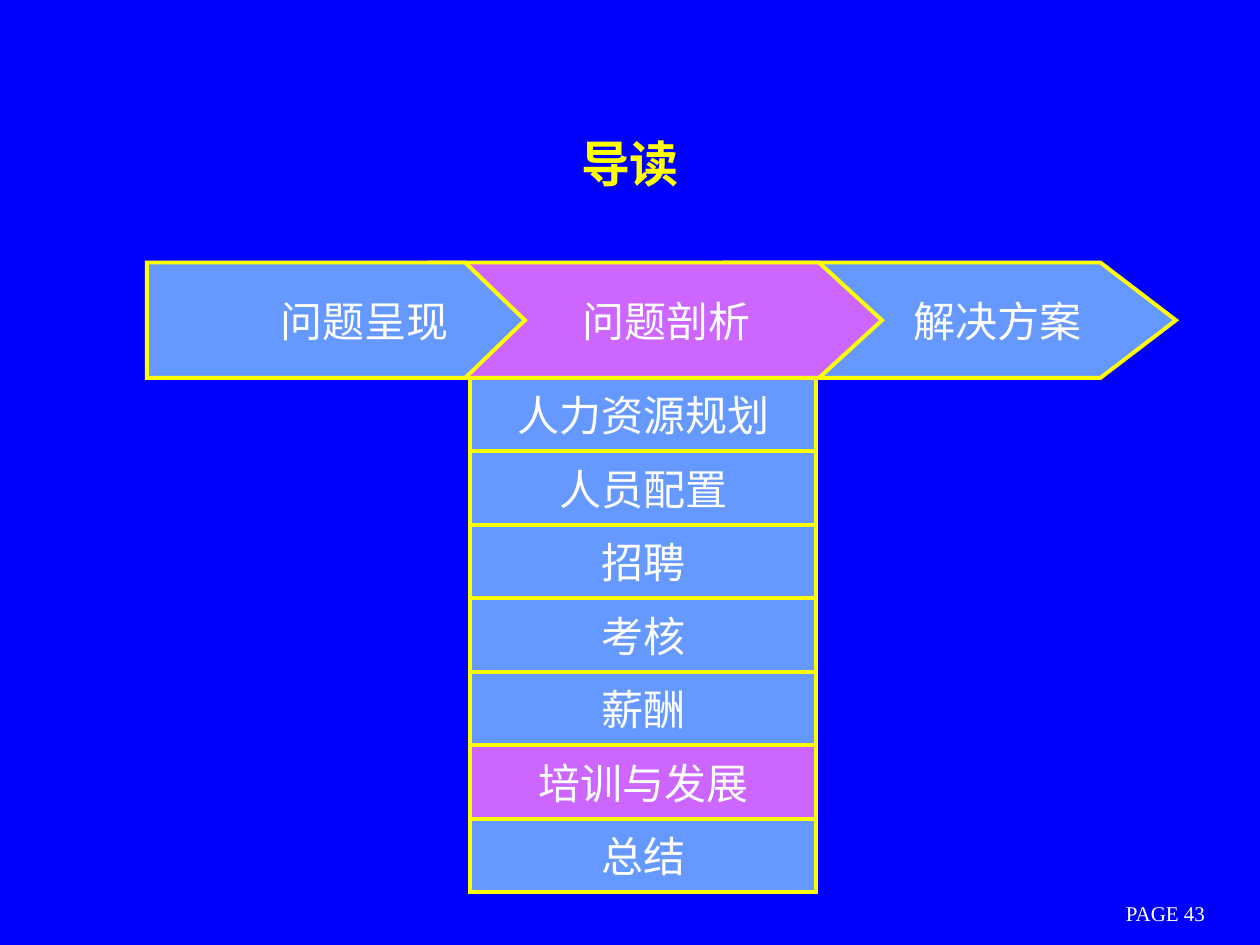
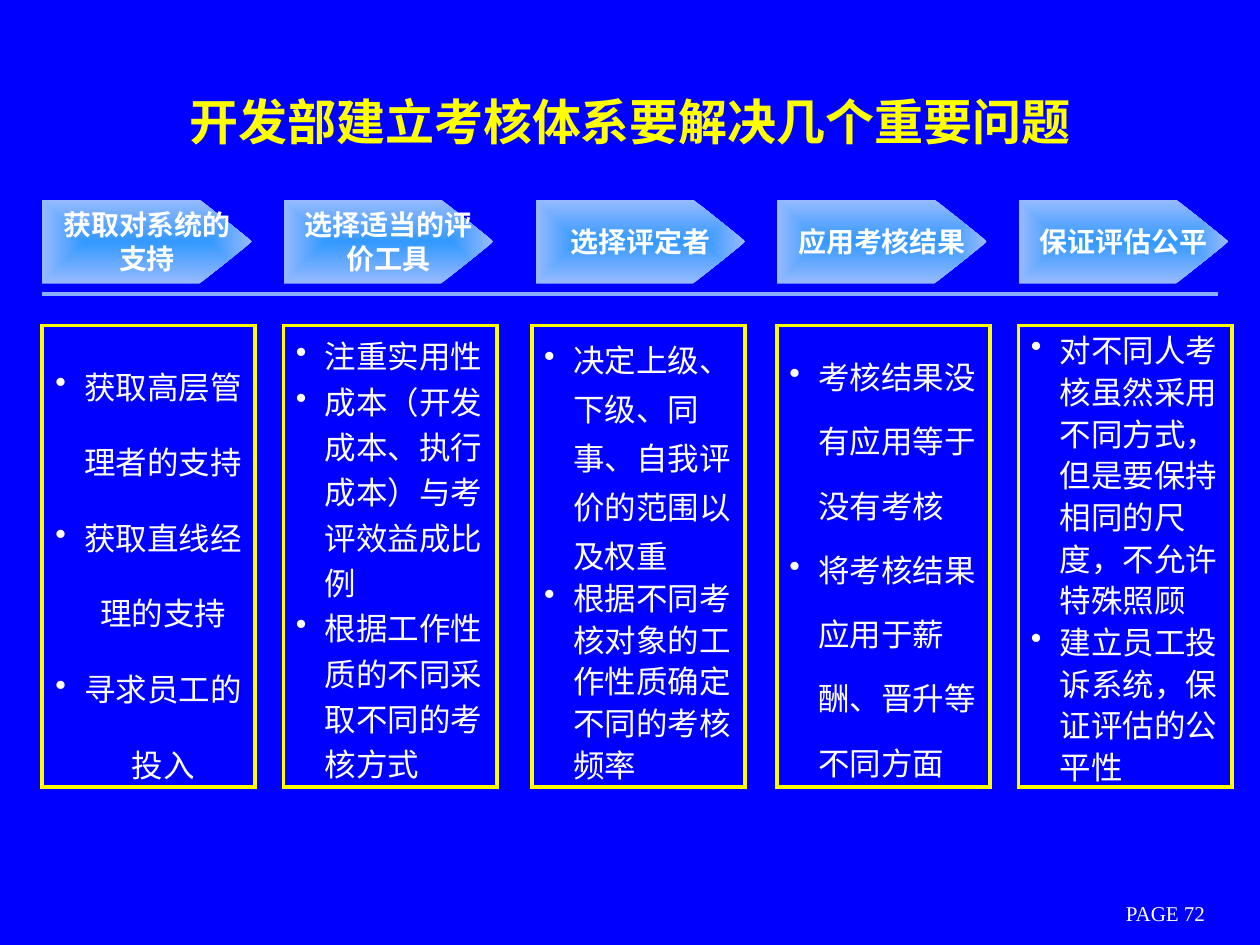
from lxml import etree
from pptx import Presentation
from pptx.dml.color import RGBColor
from pptx.enum.shapes import MSO_CONNECTOR, MSO_SHAPE
from pptx.enum.text import MSO_ANCHOR, PP_ALIGN
from pptx.oxml.ns import qn
from pptx.util import Inches, Pt

CENTER, LEFT = PP_ALIGN.CENTER, PP_ALIGN.LEFT
MIDDLE = MSO_ANCHOR.MIDDLE
RECTANGLE = MSO_SHAPE.RECTANGLE
STRAIGHT = MSO_CONNECTOR.STRAIGHT

COLUMNS, ROWS = 120, 90  # grid cells across and down the slide
SLIDE_WIDTH, SLIDE_HEIGHT = Inches(10), Inches(7.5)

BACKGROUND, WHITE, YELLOW = "0000FF", "FFFFFF", "FFFF00"
BLUE, PURPLE = "6699FF", "CC66FF"
GLOW_CENTER, GLOW_EDGE, RULE = "3399FF", "97BAFF", "87AFFF"
LATIN, CHINESE = "Times New Roman", "Noto Sans CJK SC"
OUTLINE = 2.25
LINE_HEIGHT = 1.2  # single line pitch as a share of the text size
BULLET_INDENT = 0.23

# label, left column, shoulder column, tip column, label centre column, fill
STAGES = [
    ("解决方案", 69, 104.8, 112, 95, BLUE),
    ("问题剖析", 41, 78, 84, 63.5, PURPLE),
    ("问题呈现", 14, 44.3, 50, 34.7, BLUE),
]
TOPICS = ["人力资源规划", "人员配置", "招聘", "考核", "薪酬", "培训与发展", "总结"]
CURRENT_TOPIC = "培训与发展"

# heading, heading column, panel column, alignment, (text, line spacing) items
ISSUES = [
    ("获取对系统的支持", 4, 4, CENTER,
     [("获取高层管理者的支持", 2), ("获取直线经理的支持", 2), ("寻求员工的投入", 2)]),
    ("选择适当的评价工具", 27, 27, LEFT,
     [("注重实用性", 1.2),
      ("成本（开发成本、执行成本）与考评效益成比例", 1.2),
      ("根据工作性质的不同采取不同的考核方式", 1.2)]),
    ("选择评定者", 51, 50.65, LEFT,
     [("决定上级、下级、同事、自我评价的范围以及权重", 1.3),
      ("根据不同考核对象的工作性质确定不同的考核频率", 1.1)]),
    ("应用考核结果", 74, 74, LEFT,
     [("考核结果没有应用等于没有考核", 1.7),
      ("将考核结果应用于薪酬、晋升等不同方面", 1.7)]),
    ("保证评估公平", 97, 97, LEFT,
     [("对不同人考核虽然采用不同方式，但是要保持相同的尺度，不允许特殊照顾", 1.1),
      ("建立员工投诉系统，保证评估的公平性", 1.1)]),
]


def color(hex_code):
    return RGBColor.from_string(hex_code)


def across(columns):
    return int(SLIDE_WIDTH * columns / COLUMNS)


def down(rows):
    return int(SLIDE_HEIGHT * rows / ROWS)


def grid_box(left, top, width, height):
    return across(left), down(top), across(width), down(height)


def set_font(paragraph, size, ink=WHITE, bold=False, latin=LATIN):
    font = paragraph.font
    font.size, font.bold, font.name = Pt(size), bold, latin
    font.color.rgb = color(ink)
    for run in paragraph.runs:
        east_asian = etree.SubElement(run._r.get_or_add_rPr(), qn("a:ea"))
        east_asian.set("typeface", CHINESE)


def write(frame, text, size, align=CENTER, **style):
    frame.word_wrap = True
    frame.vertical_anchor = MIDDLE
    paragraph = frame.paragraphs[0]
    paragraph.text = text
    paragraph.alignment = align
    set_font(paragraph, size, **style)
    return paragraph


def paint(shape, fill=None, outline=YELLOW):
    shape.shadow.inherit = False
    if fill:
        shape.fill.solid()
        shape.fill.fore_color.rgb = color(fill)
    else:
        shape.fill.background()
    if outline:
        shape.line.color.rgb = color(outline)
        shape.line.width = Pt(OUTLINE)
        border = shape.element.spPr.find(qn("a:ln"))
        etree.SubElement(border, qn("a:miter"), lim="800000")
    else:
        shape.line.fill.background()


def paint_glow(shape):
    """Fill with a gradient that spreads from the middle to all edges."""
    paint(shape, outline=None)
    shape.fill.gradient()
    for stop, hex_code in zip(shape.fill.gradient_stops, (GLOW_CENTER, GLOW_EDGE)):
        stop.color.rgb = color(hex_code)
    gradient = shape.element.spPr.find(qn("a:gradFill"))
    spread = etree.Element(qn("a:path"), path="rect")
    etree.SubElement(spread, qn("a:fillToRect"), l="50000", t="50000", r="50000", b="50000")
    gradient.replace(gradient.find(qn("a:lin")), spread)


def add_arrow(slide, left, shoulder, tip, top, height):
    """Draw a pentagon arrow that narrows from its shoulder to its tip."""
    bottom = top + height
    outline = slide.shapes.build_freeform(across(left), down(top))
    corners = [(shoulder, top), (tip, top + height / 2), (shoulder, bottom), (left, bottom)]
    outline.add_line_segments([(across(x), down(y)) for x, y in corners], close=True)
    return outline.convert_to_shape()


def add_stage(slide, label, left, shoulder, tip, label_center, fill):
    arrow = add_arrow(slide, left, shoulder, tip, 25, 11)
    paint(arrow, fill)
    offset = label_center - (left + tip) / 2
    arrow.text_frame.margin_left = Inches(0.1) + across(2 * offset)
    write(arrow.text_frame, label, 24)


def add_topic(slide, position, topic):
    row_height = 7
    top = 36 + position * row_height
    cell = slide.shapes.add_shape(RECTANGLE, *grid_box(44.75, top, 33, row_height))
    paint(cell, PURPLE if topic == CURRENT_TOPIC else BLUE)
    write(cell.text_frame, topic, 24)


def add_heading(slide, heading, left):
    arrow = add_arrow(slide, left, left + 15, left + 20, 19, 8)
    paint_glow(arrow)
    size = 16
    paragraph = write(arrow.text_frame, heading, size, bold=True)
    paragraph.line_spacing = Pt(size * LINE_HEIGHT)


def add_bullet(paragraph):
    """Add a hanging bullet and keep line-end punctuation inside the box."""
    properties = paragraph._p.get_or_add_pPr()
    properties.set("marL", str(Inches(BULLET_INDENT)))
    properties.set("indent", str(-Inches(BULLET_INDENT)))
    properties.set("hangingPunct", "0")
    bullet_color = etree.SubElement(properties, qn("a:buClr"))
    etree.SubElement(bullet_color, qn("a:srgbClr"), val=WHITE)
    etree.SubElement(properties, qn("a:buChar"), char="•")


def add_panel(slide, left, align, items):
    panel = slide.shapes.add_shape(RECTANGLE, *grid_box(left, 31, 20.3, 44))
    paint(panel)
    frame = panel.text_frame
    frame.word_wrap = True
    frame.vertical_anchor = MIDDLE
    size = 18
    for index, (text, spacing) in enumerate(items):
        paragraph = frame.add_paragraph() if index else frame.paragraphs[0]
        paragraph.text = text
        add_bullet(paragraph)
        paragraph.alignment = align
        paragraph.line_spacing = Pt(round(size * LINE_HEIGHT * spacing, 1))
        set_font(paragraph, size)


def add_rule(slide, left, right, row):
    rule = slide.shapes.add_connector(
        STRAIGHT, across(left), down(row), across(right), down(row))
    rule.line.color.rgb = color(RULE)
    rule.line.width = Pt(OUTLINE)
    etree.SubElement(rule.element.spPr, qn("a:effectLst"))


def add_slide(deck, title, title_row, page):
    """Add a blue slide with its title and page number."""
    slide = deck.slides.add_slide(deck.slide_layouts[6])
    slide.background.fill.solid()
    slide.background.fill.fore_color.rgb = color(BACKGROUND)
    title_box = slide.shapes.add_textbox(*grid_box(9, title_row, 102, 15))
    write(title_box.text_frame, title, 28, ink=YELLOW, bold=True, latin=CHINESE)
    footer = slide.shapes.add_textbox(*grid_box(101, 85.5, 20, 3))
    write(footer.text_frame, f"PAGE {page}", 12)
    return slide


def build_guide(deck):
    slide = add_slide(deck, "导读", 8, 43)
    for stage in STAGES:
        add_stage(slide, *stage)
    for position, topic in enumerate(TOPICS):
        add_topic(slide, position, topic)


def build_issues(deck):
    slide = add_slide(deck, "开发部建立考核体系要解决几个重要问题", 4, 72)
    add_rule(slide, 4, 116, 28)
    for heading, heading_left, panel_left, align, items in ISSUES:
        add_heading(slide, heading, heading_left)
        add_panel(slide, panel_left, align, items)


def main():
    deck = Presentation()
    deck.slide_width, deck.slide_height = SLIDE_WIDTH, SLIDE_HEIGHT
    build_guide(deck)
    build_issues(deck)
    deck.save("out.pptx")


if __name__ == "__main__":
    main()
